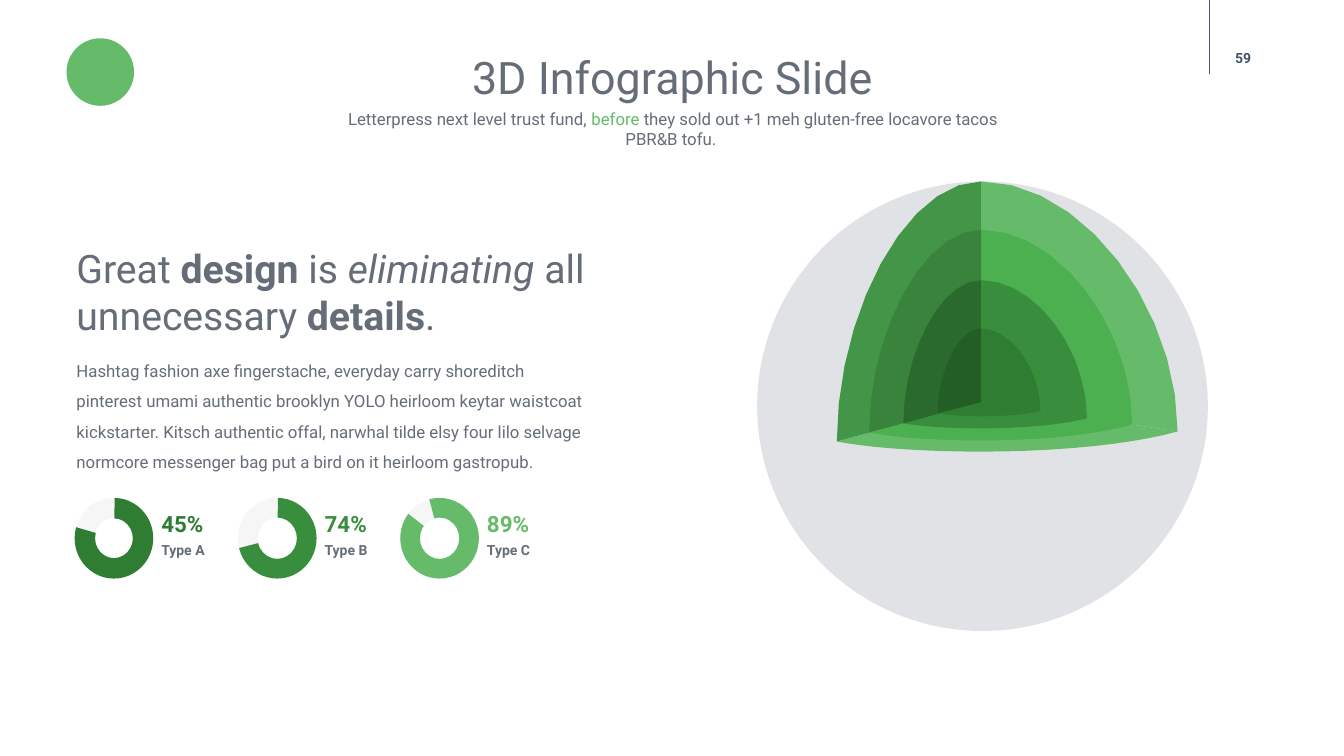
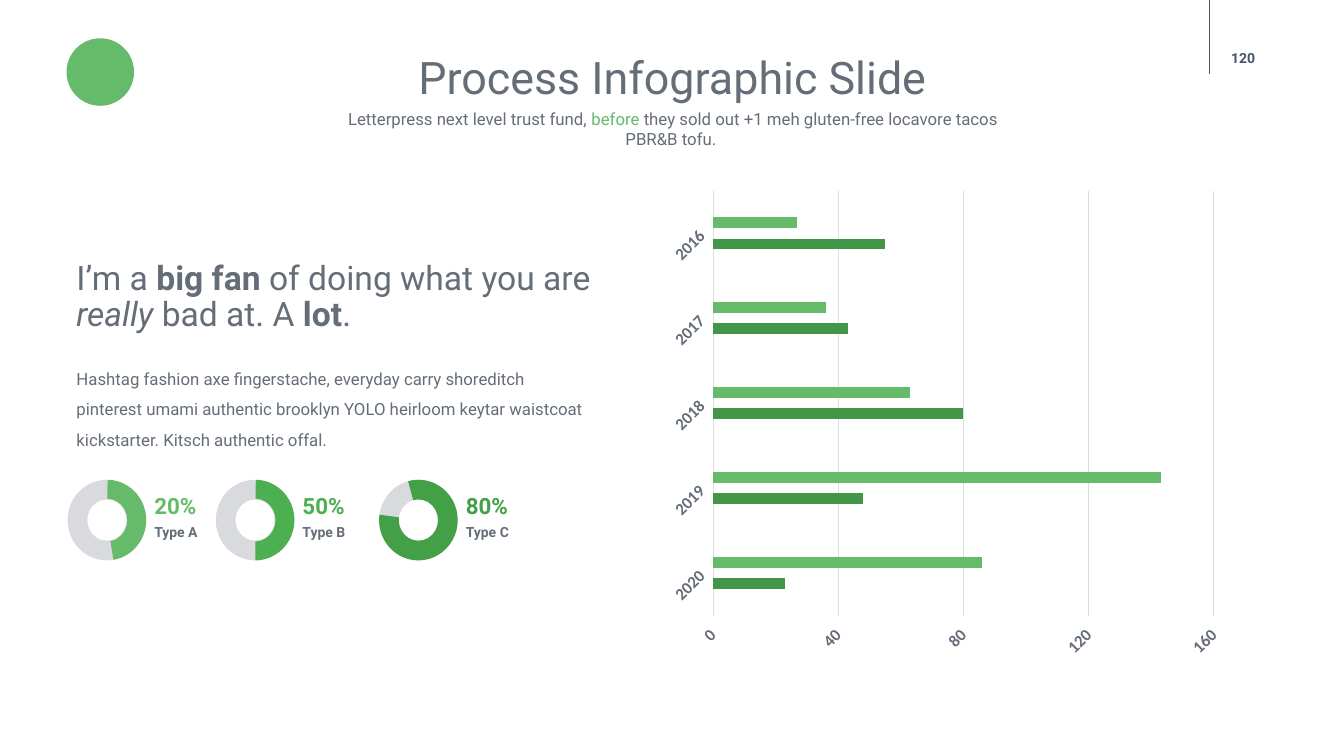
"""Build two infographic slides: a layered 3D globe and a clustered bar chart."""
from dataclasses import dataclass

from lxml import etree
from pptx import Presentation
from pptx.chart.data import CategoryChartData
from pptx.dml.color import RGBColor
from pptx.enum.chart import XL_CHART_TYPE, XL_TICK_LABEL_POSITION, XL_TICK_MARK
from pptx.enum.shapes import MSO_CONNECTOR, MSO_SHAPE
from pptx.enum.text import MSO_ANCHOR, PP_ALIGN
from pptx.oxml import parse_xml
from pptx.oxml.ns import nsdecls, qn
from pptx.util import Inches, Pt


@dataclass(frozen=True)
class Theme:
    font: str = "Roboto"
    chart_font: str = "Calibri"
    text: str = "656D78"
    navy: str = "44546A"
    accent: str = "66BB6A"
    green: str = "4CAF50"
    mid: str = "43A047"
    bar: str = "439647"
    forest: str = "388E3C"
    deep: str = "2E7D32"
    shade_green: str = "39833C"
    shade_forest: str = "2A6A2D"
    shade_deep: str = "225E26"
    globe: str = "E0E2E5"
    grid: str = "DCDEE0"
    ring_light: str = "F6F6F6"
    ring_gray: str = "D8DADD"
    title: int = 32
    quote: int = 28
    quote_small: int = 24
    figure: int = 16
    body: int = 12
    label: int = 10


T = Theme()


def add_text(s, runs, x, y, w, h, size=T.body, color=T.text, bold=False,
             align=PP_ALIGN.LEFT, anchor=MSO_ANCHOR.TOP, spacing=1.0, inset=True):
    """Add a text box; each run is (text, font overrides)."""
    tf = s.shapes.add_textbox(Inches(x), Inches(y), Inches(w), Inches(h)).text_frame
    tf.word_wrap = True
    tf.vertical_anchor = anchor
    if not inset:
        tf.margin_left = tf.margin_right = tf.margin_top = tf.margin_bottom = 0
    p = tf.paragraphs[0]
    p.alignment = align
    p.line_spacing = spacing
    for text, style in ([(runs, {})] if isinstance(runs, str) else runs):
        r = p.add_run()
        r.text = text
        r.font.name = T.font
        r.font.size = Pt(size)
        r.font.bold = style.get("bold", bold)
        r.font.italic = style.get("italic", False)
        r.font.color.rgb = RGBColor.from_string(style.get("color", color))


def paint(sp, color):
    """Give a shape a flat fill without outline or shadow."""
    sp.shadow.inherit = False
    sp.fill.solid()
    sp.fill.fore_color.rgb = RGBColor.from_string(color)
    sp.line.fill.background()


BOLD, ITALIC = {"bold": True}, {"italic": True}
SUBTITLE = [
    ("Letterpress next level trust fund, ", {}),
    ("before", {"color": T.accent}),
    (" they sold out +1 meh gluten-free locavore tacos PBR&B tofu. ", {}),
]
INTRO = ("Hashtag fashion axe fingerstache, everyday carry shoreditch pinterest umami "
         "authentic brooklyn YOLO heirloom keytar waistcoat kickstarter. "
         "Kitsch authentic offal")
PAGES = [
    dict(
        number="59", title="3D Infographic Slide",
        quote=[("Great ", {}), ("design", BOLD), (" is ", {}), ("eliminating", ITALIC),
               (" all unnecessary ", {}), ("details", BOLD), (".", {})],
        quote_box=(0.66, 2.37, 5.46, 1.04), quote_size=T.quote, quote_spacing=1.0,
        body=INTRO + ", narwhal tilde elsy four lilo selvage normcore messenger bag "
                     "put a bird on it heirloom gastropub.",
        body_box=(0.66, 3.43, 5.32, 1.31),
        ring=T.ring_light, gauge_top=4.94,
        gauges=[
            (0.74, "45%", "Type A", T.deep, (162.64, 117.75, 0.26)),
            (2.36, "74%", "Type B", T.forest, (162.64, 99.36, 0.25)),
            (3.97, "89%", "Type C", T.accent, (153.14, 130.79, 0.25)),
        ],
    ),
    dict(
        number="120", title="Process Infographic Slide",
        quote=[("I’m a ", {}), ("big fan ", BOLD), ("of doing what you are ", {}),
               ("really", ITALIC), (" bad at. A ", {}), ("lot", BOLD), (".", {})],
        quote_box=(0.66, 2.54, 5.46, 0.83), quote_size=T.quote_small, quote_spacing=0.9,
        body=INTRO + ".",
        body_box=(0.66, 3.51, 5.32, 1.01),
        ring=T.ring_gray, gauge_top=4.76,
        gauges=[
            (0.67, "20%", "Type A", T.accent, (162.64, 48.33, 0.24)),
            (2.14, "50%", "Type B", T.green, (162.64, 53.67, 0.24)),
            (3.76, "80%", "Type C", T.mid, (153.14, 112.73, 0.25)),
        ],
    ),
]

prs = Presentation()
prs.slide_width, prs.slide_height = Inches(13.33), Inches(7.5)
slides = []

for page in PAGES:
    s = prs.slides.add_slide(prs.slide_layouts[6])
    slides.append(s)
    logo = s.shapes.add_shape(MSO_SHAPE.OVAL, Inches(0.66), Inches(0.38),
                              Inches(0.67), Inches(0.67))
    paint(logo, T.accent)
    rule = s.shapes.add_connector(MSO_CONNECTOR.STRAIGHT, Inches(12), 0,
                                  Inches(12), Inches(0.73))
    rule.line.color.rgb = RGBColor.from_string(T.navy)
    rule.line.width = Pt(0.75)
    etree.SubElement(rule._element.spPr, qn("a:effectLst"))
    add_text(s, page["number"], 11.93, 0.37, 0.8, 0.4, size=T.label, color=T.navy,
             bold=True, align=PP_ALIGN.CENTER, anchor=MSO_ANCHOR.MIDDLE, inset=False)
    add_text(s, page["title"], 2.54, 0.44, 8.26, 0.64, size=T.title,
             align=PP_ALIGN.CENTER)
    add_text(s, SUBTITLE, 3.2, 1.03, 6.95, 0.5, align=PP_ALIGN.CENTER)
    add_text(s, page["quote"], *page["quote_box"], size=page["quote_size"],
             spacing=page["quote_spacing"])
    add_text(s, page["body"], *page["body_box"], spacing=1.5)

    top = page["gauge_top"]
    for x, figure, label, color, angles in page["gauges"]:
        box = Inches(x), Inches(top), Inches(0.78), Inches(0.8)
        paint(s.shapes.add_shape(MSO_SHAPE.DONUT, *box), page["ring"])
        arc = s.shapes.add_shape(MSO_SHAPE.BLOCK_ARC, *box)
        for i, value in enumerate(angles):
            arc.adjustments[i] = value
        paint(arc, color)
        add_text(s, figure, x + 0.86, top + 0.15, 0.49, 0.29, size=T.figure,
                 color=color, bold=True, spacing=0.9, inset=False)
        add_text(s, label, x + 0.86, top + 0.45, 0.49, 0.23, size=T.label,
                 bold=True, spacing=0.9, inset=False)

globe_slide, chart_slide = slides

globe = globe_slide.shapes.add_shape(MSO_SHAPE.OVAL, Inches(7.51), Inches(1.8),
                                     Inches(4.47), Inches(4.46))
paint(globe, T.globe)
CX, CY = 9.73, 3.99
STEPS = 10
LAYERS = [
    (1.8, 4.48, (11.68, 4.28), (8.3, 4.38), T.accent, T.bar),
    (2.28, 4.37, (11.23, 4.21), (8.62, 4.29), T.green, T.shade_green),
    (2.78, 4.25, (10.78, 4.15), (8.96, 4.2), T.forest, T.shade_forest),
    (3.26, 4.13, (10.32, 4.08), (9.3, 4.1), T.deep, T.shade_deep),
]
WALL, FLOOR = (0, 0.49, 0.52), (0.22, 0.6, 0.42)
for crown, base, right, left, light, dark in LAYERS:
    faces = [(light, [right], crown, WALL), (light, [right, left], base, FLOOR),
             (dark, [left], crown, WALL)]
    for color, edges, pole, (inset, rise, reach) in faces:
        outline = []
        for (x, y), order in zip(edges, (1, -1)):
            curve_x = x, x - inset * (x - CX), CX + reach * (x - CX), CX
            curve_y = y, y + rise * (pole - y), pole, pole
            curve = []
            for step in range(STEPS + 1):
                t = step / STEPS
                weights = (1 - t) ** 3, 3 * t * (1 - t) ** 2, 3 * t * t * (1 - t), t ** 3
                curve.append(tuple(Inches(sum(w * v for w, v in zip(weights, values)))
                                   for values in (curve_x, curve_y)))
            outline += curve[::order]
        builder = globe_slide.shapes.build_freeform(Inches(CX), Inches(CY), scale=1.0)
        builder.add_line_segments(outline, close=True)
        paint(builder.convert_to_shape(), color)

data = CategoryChartData()
data.categories = ["2016", "2017", "2018", "2019", "2020"]
data.add_series("Series 1", (27, 36, 63, 143, 86))
data.add_series("Series 2", (55, 43, 80, 48, 23))
chart = chart_slide.shapes.add_chart(XL_CHART_TYPE.BAR_CLUSTERED, Inches(6.46), Inches(1.61),
                                     Inches(5.77), Inches(5.14), data).chart
chart.has_legend = False
chart.has_title = False
chart.font.name = T.chart_font
chart.font.size = Pt(T.label)
chart.font.color.rgb = RGBColor.from_string(T.text)
plot = chart.plots[0]
plot.vary_by_categories = False
plot.gap_width = 500
plot.overlap = -100
for series, color in zip(plot.series, (T.accent, T.bar)):
    series.format.fill.solid()
    series.format.fill.fore_color.rgb = RGBColor.from_string(color)

years, amounts = chart.category_axis, chart.value_axis
for axis in (years, amounts):
    axis.major_tick_mark = axis.minor_tick_mark = XL_TICK_MARK.NONE
    font = axis.tick_labels.font
    font.name = T.chart_font
    font.size = Pt(T.body)
    font.bold = True
    font.color.rgb = RGBColor.from_string(T.text)
    axis._element.find(qn("c:txPr")).find(qn("a:bodyPr")).set("rot", "-2700000")
years.reverse_order = True
years.has_major_gridlines = False
amounts.tick_label_position = XL_TICK_LABEL_POSITION.HIGH
amounts.minimum_scale, amounts.maximum_scale, amounts.major_unit = 0, 160, 40
amounts.tick_labels.number_format = "#,##0"
amounts.tick_labels.number_format_is_linked = False
amounts.has_major_gridlines = True
amounts.format.line.fill.background()
for line in (years.format.line, amounts.major_gridlines.format.line):
    line.color.rgb = RGBColor.from_string(T.grid)
    line.width = Pt(0.5)

area = chart._chartSpace.find(".//" + qn("c:plotArea"))
for old in area.findall(qn("c:layout")):
    area.remove(old)
area.insert(0, parse_xml(
    f'<c:layout {nsdecls("c")}><c:manualLayout><c:layoutTarget val="inner"/>'
    '<c:xMode val="edge"/><c:yMode val="edge"/><c:x val="0.106"/><c:y val="0.055"/>'
    '<c:w val="0.861"/><c:h val="0.82"/></c:manualLayout></c:layout>'))

prs.save("out.pptx")
